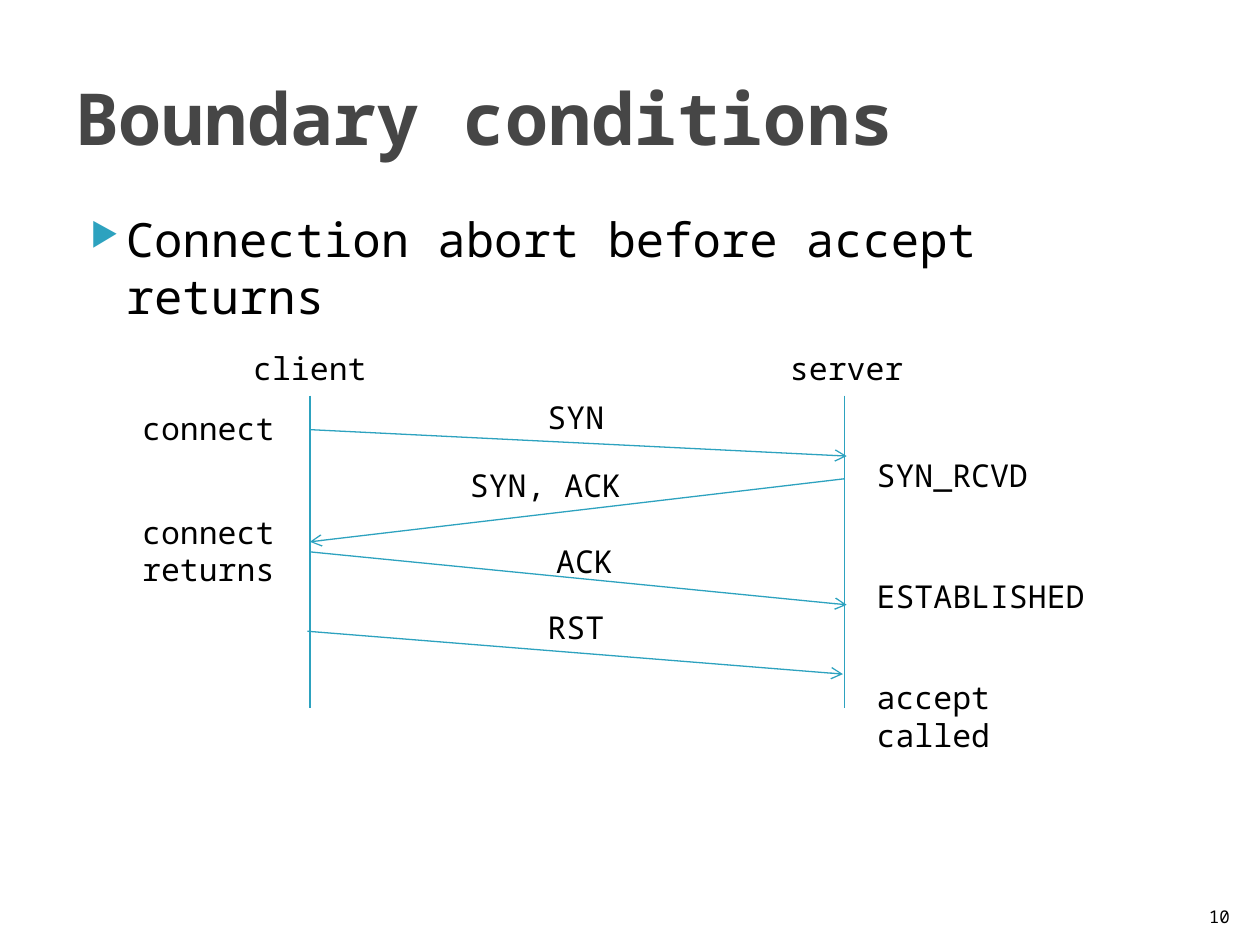
from lxml.etree import SubElement
from pptx import Presentation
from pptx.dml.color import RGBColor
from pptx.enum.shapes import MSO_CONNECTOR
from pptx.enum.text import MSO_ANCHOR, MSO_AUTO_SIZE, PP_ALIGN
from pptx.oxml.ns import qn
from pptx.util import Inches, Pt


def color(value):
    return RGBColor.from_string(value)


class SlideBuilder:
    columns, rows = 100, 75
    font_name = "Noto Sans Mono"
    text_color, title_color, accent = "000000", "464646", "2DA2BF"

    def __init__(self, presentation):
        self.column = presentation.slide_width / self.columns
        self.row = presentation.slide_height / self.rows
        self.slide = presentation.slides.add_slide(presentation.slide_layouts[6])

    def place(self, column, row):
        return round(column * self.column), round(row * self.row)

    def text(self, text, column, row, width, height, size=18, align=PP_ALIGN.LEFT,
             anchor=MSO_ANCHOR.TOP, ink=text_color, bold=False, grow=False):
        shape = self.slide.shapes.add_textbox(*self.place(column, row), *self.place(width, height))
        frame = shape.text_frame
        frame.word_wrap = True
        frame.vertical_anchor = anchor
        frame.auto_size = MSO_AUTO_SIZE.SHAPE_TO_FIT_TEXT if grow else MSO_AUTO_SIZE.NONE
        paragraph = frame.paragraphs[0]
        paragraph.text = text
        paragraph.alignment = align
        paragraph.font.name = self.font_name
        paragraph.font.size = Pt(size)
        paragraph.font.bold = bold
        paragraph.font.color.rgb = color(ink)
        return paragraph

    def label(self, text, column, row, width, align=PP_ALIGN.LEFT):
        self.text(text, column, row, width, 4, align=align, grow=True)

    def bullet(self, text, column, row, width, height, size):
        paragraph = self.text(text, column, row, width, height, size)
        paragraph.space_before = Pt(4)
        properties = paragraph._p.get_or_add_pPr()
        properties.set("marL", str(Inches(0.4)))
        properties.set("indent", str(Inches(-0.28)))
        marks = [SubElement(properties, qn(tag)) for tag in ("a:buClr", "a:buSzPct", "a:buChar")]
        SubElement(marks[0], qn("a:srgbClr")).set("val", self.accent)
        marks[1].set("val", "68000")
        marks[2].set("char", "▶")
        properties.append(properties.find(qn("a:defRPr")))

    def line(self, start, end, arrow=False):
        connector = self.slide.shapes.add_connector(
            MSO_CONNECTOR.STRAIGHT, *self.place(*start), *self.place(*end))
        connector.line.color.rgb = color(self.accent)
        connector.line.width = Pt(0.75)
        if arrow:
            SubElement(connector.line._get_or_add_ln(), qn("a:tailEnd")).set("type", "arrow")
        SubElement(connector._element.spPr, qn("a:effectLst"))


presentation = Presentation()
presentation.slide_width, presentation.slide_height = Inches(10), Inches(7.5)
builder = SlideBuilder(presentation)

builder.text("Boundary conditions", 5, 3, 90, 12.5, 41, anchor=MSO_ANCHOR.MIDDLE,
             ink=builder.title_color, bold=True)
builder.bullet("Connection abort before accept returns", 5, 16.2, 90, 49.5, 27)
builder.text("10", 94.6, 70.1, 4, 4, 10, PP_ALIGN.RIGHT, MSO_ANCHOR.BOTTOM)

client, server = 24.6, 67
for name, lifeline, left in (("client", client, 18.8), ("server", server, 61.4)):
    builder.line((lifeline, 31.4), (lifeline, 56.2))
    builder.label(name, left, 27.2, 11.6, PP_ALIGN.CENTER)

messages = [
    ("SYN", (client, 34.1), (67.2, 36.2), 39.9, 31.1, 11.6),
    ("SYN, ACK", (server, 38), (client, 43), 34.1, 36.5, 18.4),
    ("ACK", (client, 43.8), (67.2, 48), 40.6, 42.5, 11.6),
    ("RST", (24.4, 50.1), (66.9, 53.5), 39.9, 47.8, 11.6),
]
for name, start, end, left, top, width in messages:
    builder.line(start, end, arrow=True)
    builder.label(name, left, top, width, PP_ALIGN.CENTER)

for state, top in (("connect", 32), ("connect\vreturns", 40.2)):
    builder.label(state, 10.3, top, 14.3)
for state, top, width in (("SYN_RCVD", 35.7, 16.3), ("ESTABLISHED", 45.3, 18.6),
                          ("accept called", 53.3, 18.6)):
    builder.label(state, 68.6, top, width)

presentation.save("out.pptx")
